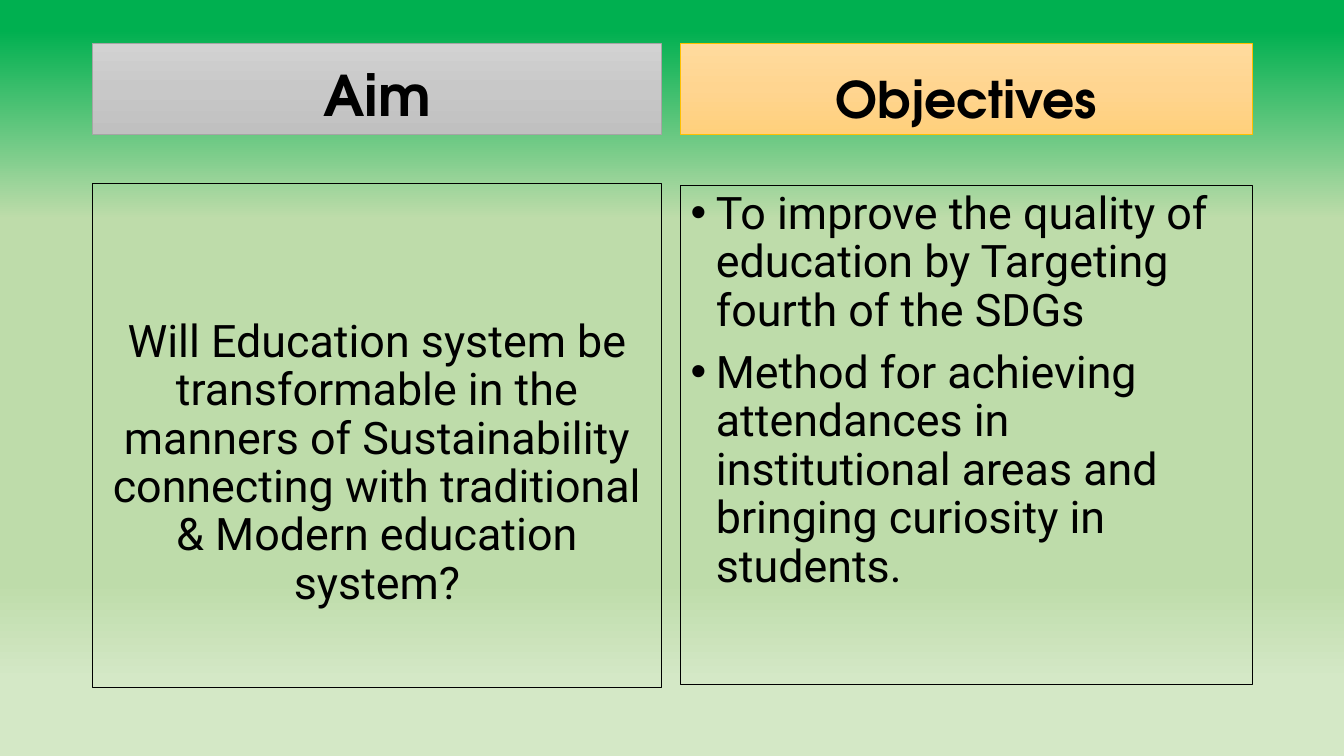
from lxml.etree import SubElement
from pptx import Presentation
from pptx.dml.color import RGBColor
from pptx.enum.text import MSO_ANCHOR, MSO_AUTO_SIZE, PP_ALIGN
from pptx.oxml.ns import qn
from pptx.util import Inches, Pt

COMPARISON_LAYOUT = 3 + 1
HEADING_TOP, HEADING_HEIGHT = 0.43, 0.9
HEADING_FONT, BODY_FONT = "TeX Gyre Adventor", "Roboto"
BLACK = "000000"
BACKGROUND_STOPS = [(4, "00B050"), (29, "BEDCAA"), (77, "BEDCAA"), (90, "D4E8C6")]

COLUMNS = [
    {
        "left": 0.92, "width": 5.64,
        "heading": "Aim", "heading_size": 40, "heading_line": "A5A5A5",
        "stops": [(0, "D2D2D2"), (50, "C8C8C8"), (100, "C0C0C0")],
        "body_top": 1.82, "body_height": 5, "body_inset": 1.34, "bulleted": False,
        "body": ["Will Education system be transformable in the manners of "
                 "Sustainability connecting with traditional & Modern education system?"],
    },
    {
        "left": 6.75, "width": 5.67,
        "heading": "Objectives", "heading_size": 36, "heading_line": "FFC000",
        "stops": [(0, "FFDB9E"), (50, "FFD590"), (100, "FFD07C")],
        "body_top": 1.84, "body_height": 4.95, "body_inset": 0.05, "bulleted": True,
        "body": ["To improve the quality of education by Targeting fourth of the SDGs",
                 "Method for achieving attendances in institutional areas and "
                 "bringing curiosity in students."],
    },
]


def color(value):
    return RGBColor.from_string(value)


def apply_format(target, values):
    for name, value in values.items():
        setattr(target, name, value)


def fill_gradient(fill, element, stops):
    fill.gradient()
    fill.gradient_angle = 270
    stop_list = next(element.iter(qn("a:gsLst")))
    stop_list.clear()
    for position, value in stops:
        stop = SubElement(stop_list, qn("a:gs"), pos=str(position * 1000))
        SubElement(stop, qn("a:srgbClr"), val=value)


def place_box(shape, box, line_color, line_width):
    names = ("left", "top", "width", "height")
    apply_format(shape, dict(zip(names, map(Inches, box))))
    shape.line.color.rgb = color(line_color)
    shape.line.width = Pt(line_width)


def write_text(shape, texts, font, frame, align):
    text_frame = shape.text_frame
    text_frame.text = "\n".join(texts)
    apply_format(text_frame, {"word_wrap": True, "auto_size": MSO_AUTO_SIZE.NONE, **frame})
    for paragraph in text_frame.paragraphs:
        apply_format(paragraph, {"alignment": align, "line_spacing": 0.9, "space_before": Pt(10)})
        for run in paragraph.runs:
            apply_format(run.font, font)
            run.font.color.rgb = color(BLACK)


def set_bullets(shape, bulleted):
    indent = Inches(0.25) if bulleted else 0
    for paragraph in shape.text_frame.paragraphs:
        properties = paragraph._p.get_or_add_pPr()
        properties.set("marL", str(indent))
        properties.set("indent", str(-indent))
        if bulleted:
            SubElement(properties, qn("a:buFont"), typeface="Arial")
            SubElement(properties, qn("a:buChar"), char="•")
        else:
            SubElement(properties, qn("a:buNone"))


def add_heading(shape, column):
    box = (column["left"], HEADING_TOP, column["width"], HEADING_HEIGHT)
    place_box(shape, box, column["heading_line"], 0.5)
    fill_gradient(shape.fill, shape.element, column["stops"])
    font = {"name": HEADING_FONT, "size": Pt(column["heading_size"]), "bold": True}
    write_text(shape, [column["heading"]], font,
               {"vertical_anchor": MSO_ANCHOR.BOTTOM}, PP_ALIGN.CENTER)


def add_body(shape, column):
    box = (column["left"], column["body_top"], column["width"], column["body_height"])
    place_box(shape, box, BLACK, 0.75)
    shape.fill.background()
    frame = {"vertical_anchor": MSO_ANCHOR.TOP, "margin_top": Inches(column["body_inset"])}
    align = PP_ALIGN.LEFT if column["bulleted"] else PP_ALIGN.CENTER
    write_text(shape, column["body"], {"name": BODY_FONT, "size": Pt(32)}, frame, align)
    set_bullets(shape, column["bulleted"])


def add_comparison_slide(presentation):
    slide = presentation.slides.add_slide(presentation.slide_layouts[COMPARISON_LAYOUT])
    title = slide.shapes.title.element
    title.getparent().remove(title)
    fill_gradient(slide.background.fill, slide.element, BACKGROUND_STOPS)
    placeholders = list(slide.placeholders)
    for column, heading, body in zip(COLUMNS, placeholders[::2], placeholders[1::2]):
        add_heading(heading, column)
        add_body(body, column)


def main():
    presentation = Presentation()
    apply_format(presentation, {"slide_width": Inches(13.33), "slide_height": Inches(7.5)})
    add_comparison_slide(presentation)
    presentation.save("out.pptx")


if __name__ == "__main__":
    main()
